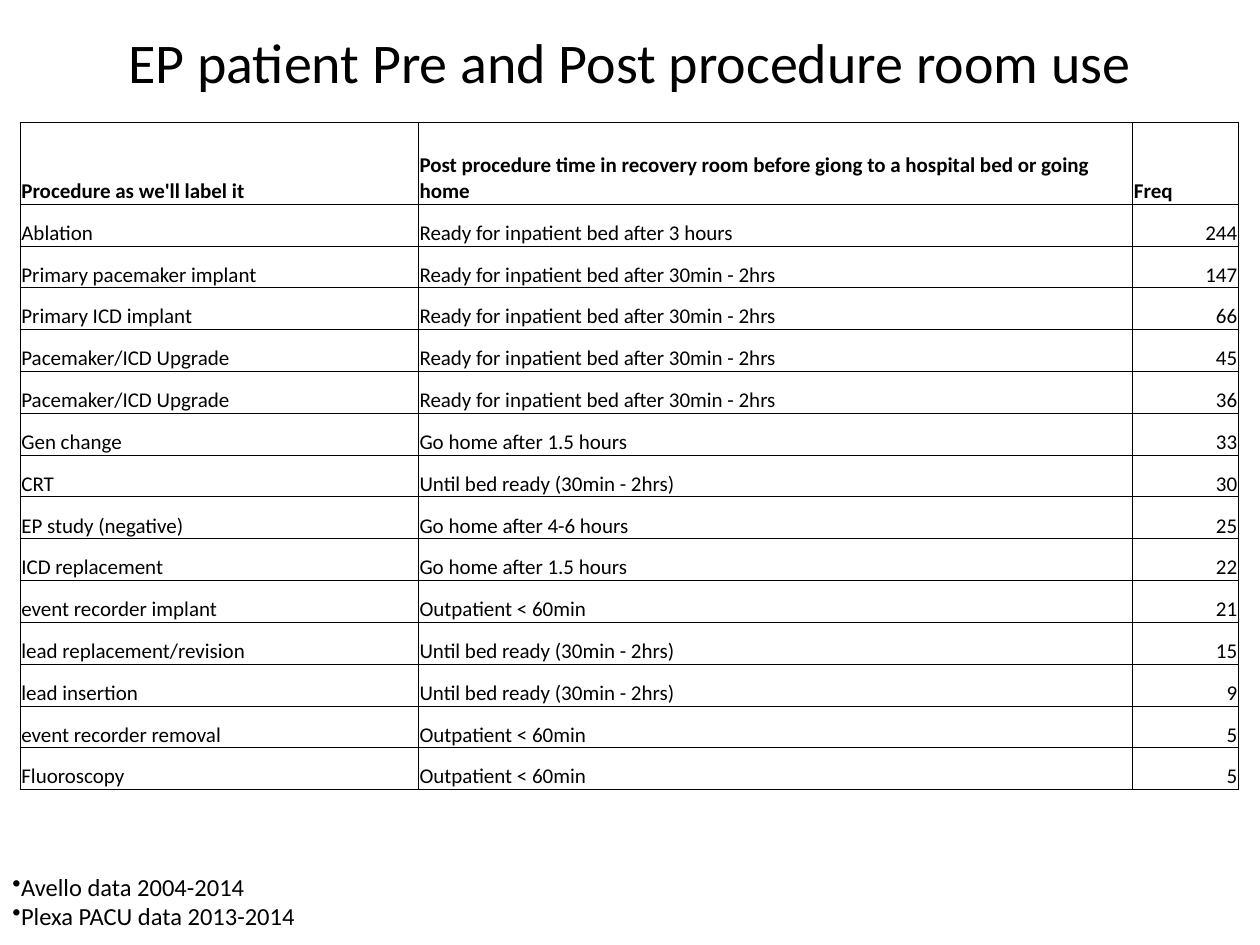
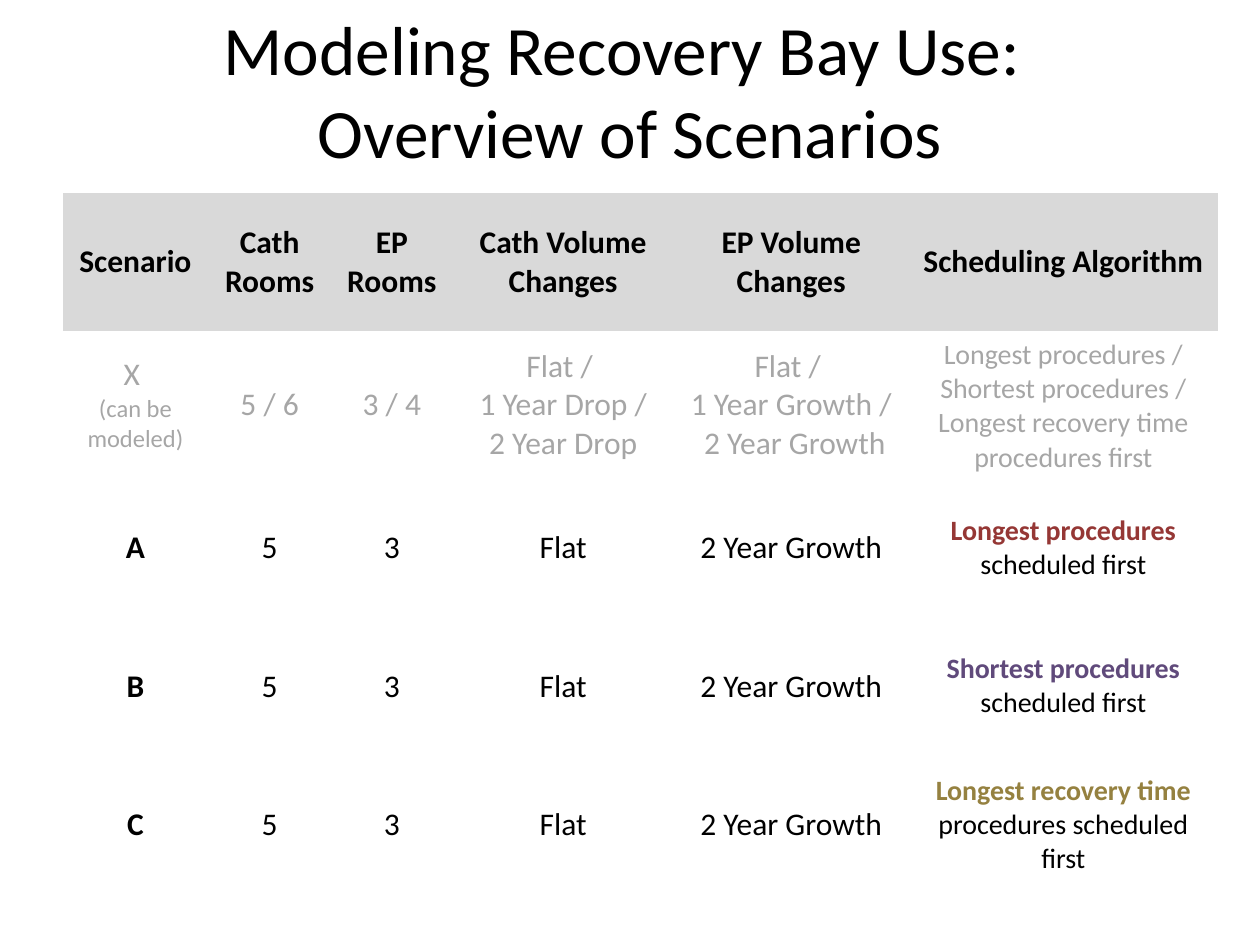
from dataclasses import dataclass

from lxml import etree
from pptx import Presentation
from pptx import util as u
from pptx.dml.color import RGBColor
from pptx.enum import text
from pptx.oxml import ns

LEFT, CENTER, RIGHT = text.PP_ALIGN.LEFT, text.PP_ALIGN.CENTER, text.PP_ALIGN.RIGHT
BOTTOM, MIDDLE, TOP = text.MSO_ANCHOR.BOTTOM, text.MSO_ANCHOR.MIDDLE, text.MSO_ANCHOR.TOP
PLAIN_TABLE_STYLE = "{2D5ABB26-0587-4C30-8999-92F81FD0307C}"


@dataclass(frozen=True)
class Theme:
    """Colours, font and type sizes shared by the slides."""
    font: str = "Calibri"
    ink: str = "000000"
    muted: str = "A6A6A6"
    header: str = "D9D9D9"
    red: str = "953735"
    purple: str = "604A7B"
    gold: str = "958140"
    title: float = 32
    large_title: float = 39.6
    body: float = 18
    algorithm: float = 16
    note: float = 14
    small: float = 12


THEME = Theme()

AFTER_BED = "Ready for inpatient bed after 30min - 2hrs"
UNTIL_BED = "Until bed ready (30min - 2hrs)"
HOME = "Go home after 1.5 hours"
OUTPATIENT = "Outpatient < 60min"
PROCEDURE_HEADINGS = (
    "Procedure as we'll label it",
    "Post procedure time in recovery room before giong to a hospital bed or going home",
    "Freq",
)
PROCEDURES = (
    ("Ablation", "Ready for inpatient bed after 3 hours", 244),
    ("Primary pacemaker implant", AFTER_BED, 147),
    ("Primary ICD implant", AFTER_BED, 66),
    ("Pacemaker/ICD Upgrade", AFTER_BED, 45),
    ("Pacemaker/ICD Upgrade", AFTER_BED, 36),
    ("Gen change", HOME, 33),
    ("CRT", UNTIL_BED, 30),
    ("EP study (negative)", "Go home after 4-6 hours", 25),
    ("ICD replacement", HOME, 22),
    ("event recorder implant", OUTPATIENT, 21),
    ("lead replacement/revision", UNTIL_BED, 15),
    ("lead insertion", UNTIL_BED, 9),
    ("event recorder removal", OUTPATIENT, 5),
    ("Fluoroscopy", OUTPATIENT, 5),
)
SCENARIO_HEADINGS = ("Scenario", "Cath Rooms", "EP Rooms", "Cath Volume Changes",
                     "EP Volume Changes", "Scheduling Algorithm")
SCENARIO_OPTIONS = (
    "X \n(can be modeled)", "5 / 6", "3 / 4",
    "Flat / \n1 Year Drop /\n2 Year Drop",
    "Flat / \n1 Year Growth /\n 2 Year Growth",
    "Longest procedures / Shortest procedures / Longest recovery time procedures first",
)
SCENARIOS = (
    ("A", "Longest procedures ", "scheduled first", THEME.red),
    ("B", "Shortest procedures ", "scheduled first", THEME.purple),
    ("C", "Longest recovery time ", "procedures scheduled first", THEME.gold),
)


def style_font(font, size, color=THEME.ink, bold=False):
    """Apply the theme font with a size, colour and weight."""
    font.name, font.size, font.bold = THEME.font, u.Pt(size), bold
    font.color.rgb = RGBColor.from_string(color)


def write(frame, content, size, align=LEFT, color=THEME.ink, bold=False):
    """Fill a text frame, one paragraph for each line."""
    frame.text = content
    for paragraph in frame.paragraphs:
        paragraph.alignment = align
        style_font(paragraph.font, size, color, bold)


def add_text(slide, box, content, size, align=LEFT, anchor=TOP):
    """Add a wrapping text box and return its frame."""
    frame = slide.shapes.add_textbox(*map(u.Inches, box)).text_frame
    frame.word_wrap = True
    frame.vertical_anchor = anchor
    write(frame, content, size, align)
    return frame


def add_title(slide, box, content, size):
    """Add a centred slide title."""
    add_text(slide, box, content, size, CENTER, MIDDLE)


def add_bullets(slide, box, content, size):
    """Add a list whose bullets sit directly against the text."""
    frame = add_text(slide, box, content, size)
    for paragraph in frame.paragraphs:
        properties = paragraph._p.get_or_add_pPr()
        bullet = etree.Element(ns.qn("a:buChar"), char="•")
        properties.insert(0, bullet)


def add_plain_table(slide, origin, widths, heights):
    """Add an unstyled table with the given column widths and row heights."""
    left, top = origin
    frame = slide.shapes.add_table(len(heights), len(widths), *map(
        u.Inches, (left, top, sum(widths), sum(heights))))
    table = frame.table
    table.first_row = table.horz_banding = False
    table._tbl.tblPr.find(ns.qn("a:tableStyleId")).text = PLAIN_TABLE_STYLE
    for column, width in zip(table.columns, widths):
        column.width = u.Inches(width)
    for row, height in zip(table.rows, heights):
        row.height = u.Inches(height)
    return table


def add_borders(cell, color, width):
    """Draw a solid line on all four sides of a cell."""
    properties = cell._tc.get_or_add_tcPr()
    for side in ("lnL", "lnR", "lnT", "lnB"):
        line = etree.SubElement(properties, ns.qn(f"a:{side}"), w=str(u.Pt(width)))
        fill = etree.SubElement(line, ns.qn("a:solidFill"))
        etree.SubElement(fill, ns.qn("a:srgbClr"), val=color)


def add_procedure_table(slide, origin):
    """Add the ruled table of procedures, recovery times and frequencies."""
    heights = [0.65] + [0.332] * len(PROCEDURES)
    table = add_plain_table(slide, origin, (3.16, 5.67, 0.84), heights)
    for row, values in enumerate((PROCEDURE_HEADINGS, *PROCEDURES)):
        for column, value in enumerate(values):
            cell = table.cell(row, column)
            cell.margin_left = cell.margin_right = cell.margin_top = u.Inches(0.01)
            cell.margin_bottom = 0
            cell.vertical_anchor = BOTTOM
            add_borders(cell, THEME.ink, 0.5)
            cell.fill.background()
            align = RIGHT if isinstance(value, int) else LEFT
            write(cell.text_frame, str(value), THEME.small, align, bold=row == 0)


def write_algorithm(cell, emphasis, rest, color):
    """Write a scheduling rule with its leading words emphasised."""
    paragraph = cell.text_frame.paragraphs[0]
    paragraph.alignment = CENTER
    for words, tint, bold in ((emphasis, color, True), (rest, THEME.ink, False)):
        run = paragraph.add_run()
        run.text = words
        style_font(run.font, THEME.algorithm, tint, bold)


def add_scenario_table(slide, origin):
    """Add the scenario overview with a shaded header and a muted options row."""
    table = add_plain_table(slide, origin, (1.15, 0.98, 0.96, 1.76, 1.86, 2.46),
                            [1.1] * (len(SCENARIOS) + 2))
    for cell in table.iter_cells():
        cell.vertical_anchor = MIDDLE
        cell.fill.background()
    for cell, heading in zip(table.rows[0].cells, SCENARIO_HEADINGS):
        cell.fill.solid()
        cell.fill.fore_color.rgb = RGBColor.from_string(THEME.header)
        write(cell.text_frame, heading, THEME.body, CENTER, bold=True)
    options = table.rows[1].cells
    for cell, option in zip(options, SCENARIO_OPTIONS):
        size = THEME.algorithm if option == SCENARIO_OPTIONS[-1] else THEME.body
        write(cell.text_frame, option, size, CENTER, THEME.muted)
    options[0].text_frame.paragraphs[1].font.size = u.Pt(THEME.note)
    for row, (label, emphasis, rest, color) in enumerate(SCENARIOS, start=2):
        for column, value in enumerate((label, "5", "3", "Flat", "2 Year Growth")):
            write(table.cell(row, column).text_frame, value, THEME.body, CENTER,
                  bold=column == 0)
        write_algorithm(table.cell(row, 5), emphasis, rest, color)


def build_procedure_slide(slide):
    """Build the slide on room use before and after procedures."""
    add_title(slide, (0.5, 0, 9, 0.97), "EP patient Pre and Post procedure room use",
              THEME.title)
    add_bullets(slide, (0, 6.87, 9.83, 0.57),
                "Avello data 2004-2014\nPlexa PACU data 2013-2014", THEME.note)
    add_procedure_table(slide, (0.16, 0.97))


def build_scenario_slide(slide):
    """Build the slide that compares the modeled scenarios."""
    add_title(slide, (0.5, 0.08, 9, 1.25),
              "Modeling Recovery Bay Use: \vOverview of Scenarios", THEME.large_title)
    add_scenario_table(slide, (0.5, 1.53))


def main():
    """Create and save the presentation."""
    presentation = Presentation()
    presentation.slide_width, presentation.slide_height = u.Inches(10), u.Inches(7.5)
    for build in (build_procedure_slide, build_scenario_slide):
        build(presentation.slides.add_slide(presentation.slide_layouts[6]))
    presentation.save("out.pptx")


main()
